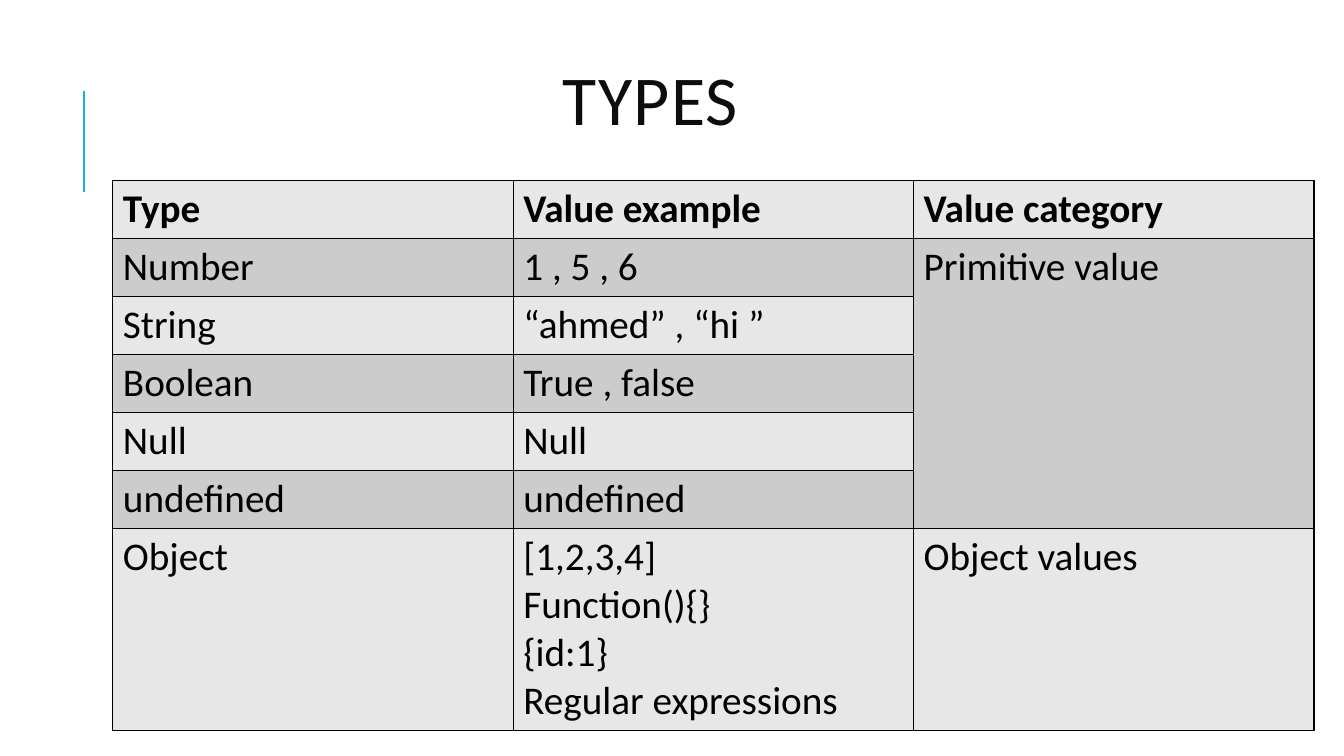
from dataclasses import dataclass

from lxml import etree
from pptx import Presentation
from pptx.dml.color import RGBColor
from pptx.enum.shapes import MSO_CONNECTOR
from pptx.enum.text import MSO_ANCHOR, MSO_AUTO_SIZE, PP_ALIGN
from pptx.oxml.ns import qn
from pptx.util import Pt

STRAIGHT = MSO_CONNECTOR.STRAIGHT
MIDDLE = MSO_ANCHOR.MIDDLE
CENTER = PP_ALIGN.CENTER
NO_AUTOFIT = MSO_AUTO_SIZE.NONE

FONT = "Calibri"
BLACK, TITLE_INK, ACCENT = "000000", "0D0D0D", "1CADE4"
LIGHT, DARK = "E7E7E7", "CCCCCC"
ROW_HEIGHT, OBJECT_ROW_HEIGHT = 36.8, 126
COLUMN_WIDTH = 286


@dataclass
class TypeRow:
    name: str
    example: str
    category: str = ""


ROWS = [
    TypeRow("Type", "Value example", "Value category"),
    TypeRow("Number", "1 , 5 , 6", "Primitive value"),
    TypeRow("String", "“ahmed” , “hi ”"),
    TypeRow("Boolean", "True , false"),
    TypeRow("Null", "Null"),
    TypeRow("undefined", "undefined"),
    TypeRow("Object", "[1,2,3,4]\nFunction(){}\n{id:1}\nRegular expressions", "Object values"),
]


def color(value: str) -> RGBColor:
    return RGBColor.from_string(value)


def format_text(frame, size: float, ink: str, bold: bool = False) -> None:
    for para in frame.paragraphs:
        for span in para.runs:
            span.font.name = FONT
            span.font.size = Pt(size)
            span.font.bold = bold
            span.font.color.rgb = color(ink)


def add_borders(cell) -> None:
    properties = cell._tc.get_or_add_tcPr()
    for index, side in enumerate(("a:lnL", "a:lnR", "a:lnT", "a:lnB")):
        line = etree.Element(qn(side), w=str(Pt(1)))
        fill = etree.SubElement(line, qn("a:solidFill"))
        etree.SubElement(fill, qn("a:srgbClr"), val=BLACK)
        properties.insert(index, line)


def add_title(page, text: str) -> None:
    box = page.shapes.title
    box.left, box.top, box.width, box.height = Pt(82), Pt(16), Pt(765.5), Pt(118)
    frame = box.text_frame
    frame.text = text
    frame.auto_size = NO_AUTOFIT
    frame.vertical_anchor = MIDDLE
    para = frame.paragraphs[0]
    para.alignment = CENTER
    para.line_spacing = 0.8
    format_text(frame, 50, TITLE_INK)
    para.runs[0].font._element.set("spc", "100")


def add_accent_line(page) -> None:
    line = page.shapes.add_connector(STRAIGHT, Pt(60), Pt(136.8), Pt(60), Pt(64.8))
    line.line.color.rgb = color(ACCENT)
    line.line.width = Pt(1.5)
    etree.SubElement(line._element.spPr, qn("a:effectLst"))


def add_types_table(page, rows: list[TypeRow]) -> None:
    heights = [ROW_HEIGHT] * (len(rows) - 1) + [OBJECT_ROW_HEIGHT]
    table = page.shapes.add_table(len(rows), 3, Pt(80.64), Pt(128.88),
                                  Pt(3 * COLUMN_WIDTH), Pt(sum(heights))).table
    table.first_row = table.horz_banding = False
    for column in table.columns:
        column.width = Pt(COLUMN_WIDTH)
    for index, (row, height) in enumerate(zip(rows, heights)):
        table.rows[index].height = Pt(height)
        for position, text in enumerate((row.name, row.example, row.category)):
            cell = table.cell(index, position)
            cell.text_frame.text = text
            format_text(cell.text_frame, 28, BLACK, bold=index == 0)
            cell.fill.solid()
            cell.fill.fore_color.rgb = color(DARK if index % 2 else LIGHT)
            add_borders(cell)
    # One category covers all the primitive types
    table.cell(1, 2).merge(table.cell(len(rows) - 2, 2))


def main() -> None:
    deck = Presentation()
    deck.slide_width, deck.slide_height = Pt(960), Pt(540)
    page = deck.slides.add_slide(deck.slide_layouts.get_by_name("Title Only"))

    # Heading
    add_accent_line(page)
    add_title(page, "TYPES")

    # Table of types
    add_types_table(page, ROWS)

    deck.save("out.pptx")


if __name__ == "__main__":
    main()
